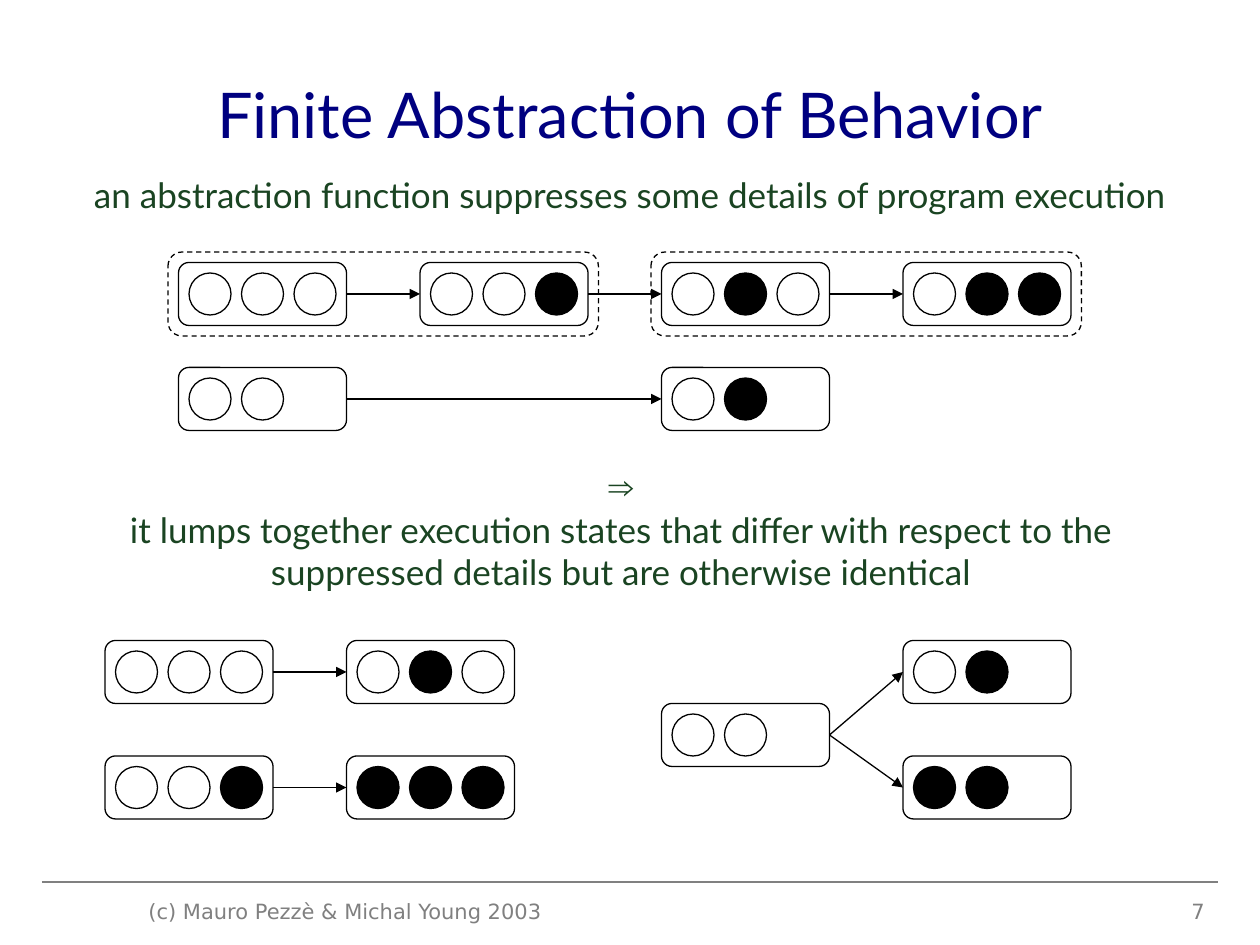
from lxml.etree import SubElement
from pptx import Presentation
from pptx.dml.color import RGBColor
from pptx.enum.dml import MSO_LINE_DASH_STYLE as Dash
from pptx.enum.shapes import MSO_CONNECTOR as Connector, MSO_SHAPE as Shape
from pptx.enum.text import MSO_ANCHOR as Anchor, PP_ALIGN as Align
from pptx.oxml.ns import qn
from pptx.util import Inches, Pt

color = RGBColor.from_string
deck = Presentation()
deck.slide_width, deck.slide_height = Inches(10), Inches(7.5)
slide = deck.slides.add_slide(deck.slide_layouts[6])
UNIT = deck.slide_width // 120


def add_text(text, left, top, width, height, font="Lato", size=20, ink="1A4422",
             align=Align.CENTER, anchor=Anchor.TOP, bullet=None):
    box = slide.shapes.add_textbox(*(Inches(v) for v in (left, top, width, height)))
    frame = box.text_frame
    frame.word_wrap = True
    frame.vertical_anchor = anchor
    paragraph = frame.paragraphs[0]
    paragraph.alignment = align
    if bullet:
        props = paragraph._p.get_or_add_pPr()
        props.set("marL", "0")
        props.set("indent", "0")
        tint = SubElement(props, qn("a:buClr"))
        SubElement(tint, qn("a:srgbClr"), val=ink)
        SubElement(props, qn("a:buFont"), typeface="Arial")
        SubElement(props, qn("a:buChar"), char=bullet)
        paragraph.add_line_break()
        SubElement(paragraph._p[-1], qn("a:rPr"), sz=str(size * 100))
    run = paragraph.add_run()
    run.text = text
    run.font.name, run.font.size = font, Pt(size)
    run.font.color.rgb = color(ink)


def add_outline(shapes, kind, col, row, cols, rows, filled=False):
    shape = shapes.add_shape(kind, *(UNIT * n for n in (col, row, cols, rows)))
    shape.shadow.inherit = False
    if filled:
        shape.fill.solid()
        shape.fill.fore_color.rgb = color("000000")
    else:
        shape.fill.background()
    shape.line.color.rgb = color("000000")
    shape.line.width = Pt(0.75)
    return shape


add_text("Finite Abstraction of Behavior", 0.5, 0.3, 9, 1.2,
         size=36, ink="000080", anchor=Anchor.MIDDLE)
add_text("an abstraction function suppresses some details of program execution",
         0.5, 1.33, 9, 1.75)
add_text("it lumps together execution states that differ with respect to the "
         "suppressed details but are otherwise identical",
         0.5, 3.24, 8.86, 1.51, anchor=Anchor.BOTTOM, bullet="⇒")

states = {
    "run 1": (17, 25, "000"), "run 2": (40, 25, "001"),
    "run 3": (63, 25, "010"), "run 4": (86, 25, "011"),
    "abstract 1": (17, 35, "00"), "abstract 2": (63, 35, "01"),
    "upper from": (10, 61, "000"), "upper to": (33, 61, "010"),
    "lower from": (10, 72, "001"), "lower to": (33, 72, "111"),
    "lumped from": (63, 67, "00"),
    "lumped upper": (86, 61, "01"), "lumped lower": (86, 72, "11"),
}
frames = {}
for state, (col, row, bits) in states.items():
    group = slide.shapes.add_group_shape()
    frames[state] = add_outline(group.shapes, Shape.ROUNDED_RECTANGLE, col, row, 16, 6)
    for place, bit in enumerate(bits):
        add_outline(group.shapes, Shape.OVAL, col + 1 + 5 * place, row + 1, 4, 4, bit == "1")

for col in (16, 62):
    lump = add_outline(slide.shapes, Shape.ROUNDED_RECTANGLE, col, 24, 41, 8)
    lump.line.dash_style = Dash.DASH

transitions = [
    ("run 1", "run 2"), ("run 2", "run 3"), ("run 3", "run 4"),
    ("abstract 1", "abstract 2"),
    ("upper from", "upper to"), ("lower from", "lower to"),
    ("lumped from", "lumped upper"), ("lumped from", "lumped lower"),
]
for source, target in transitions:
    arrow = slide.shapes.add_connector(Connector.STRAIGHT, 0, 0, 0, 0)
    arrow.begin_connect(frames[source], 3)
    arrow.end_connect(frames[target], 1)
    arrow.line.color.rgb = color("000000")
    arrow.line.width = Pt(0.75)
    SubElement(arrow.line._get_or_add_ln(), qn("a:tailEnd"), type="triangle")
    SubElement(arrow._element.spPr, qn("a:effectLst"))

rule = slide.shapes.add_connector(Connector.STRAIGHT, UNIT * 4, UNIT * 84, UNIT * 116, UNIT * 84)
rule.line.color.rgb = color("808080")
rule.line.width = Pt(0.75)
SubElement(rule._element.spPr, qn("a:effectLst"))

footer = dict(font="DejaVu Sans", size=12, ink="808080")
add_text("(c) Mauro Pezzè & Michal Young 2003", 1.08, 7.08, 3.5, 0.27,
         align=Align.LEFT, **footer)
add_text("7", 7.33, 7.08, 2.33, 0.27, align=Align.RIGHT, **footer)

deck.save("out.pptx")
